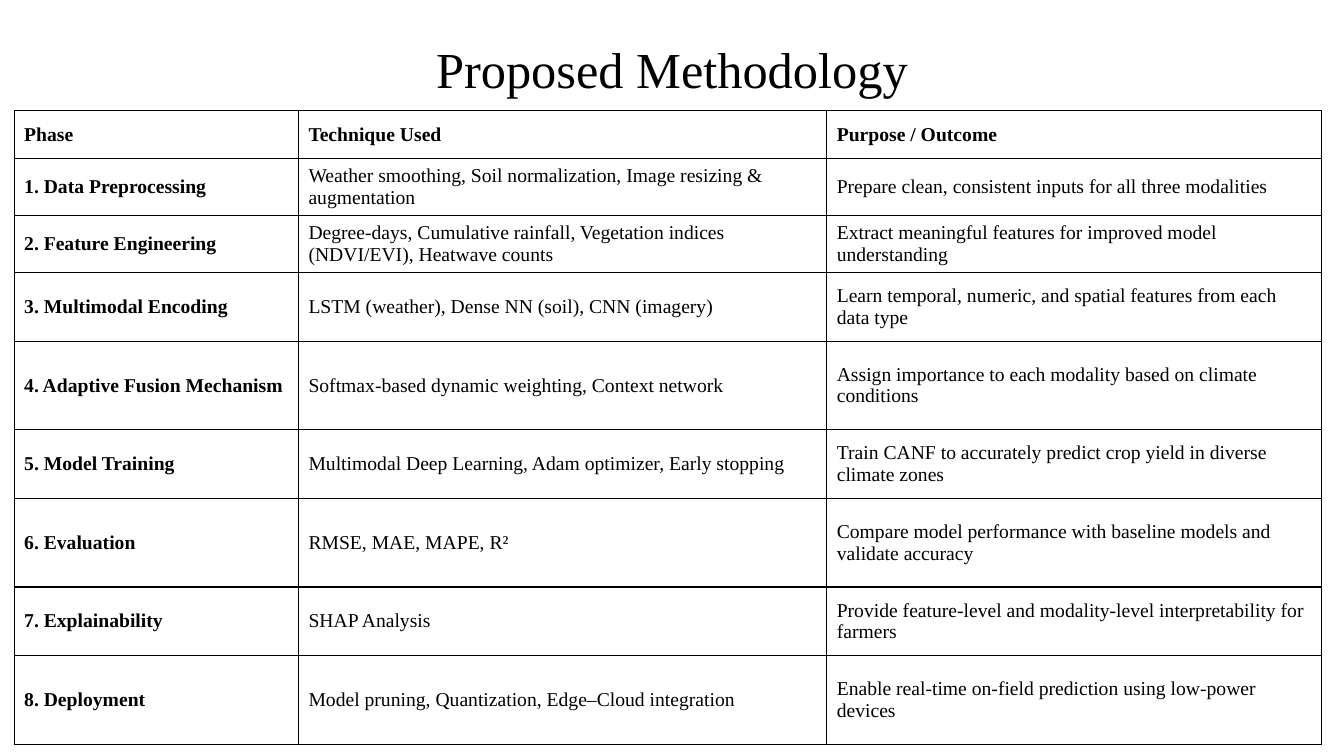
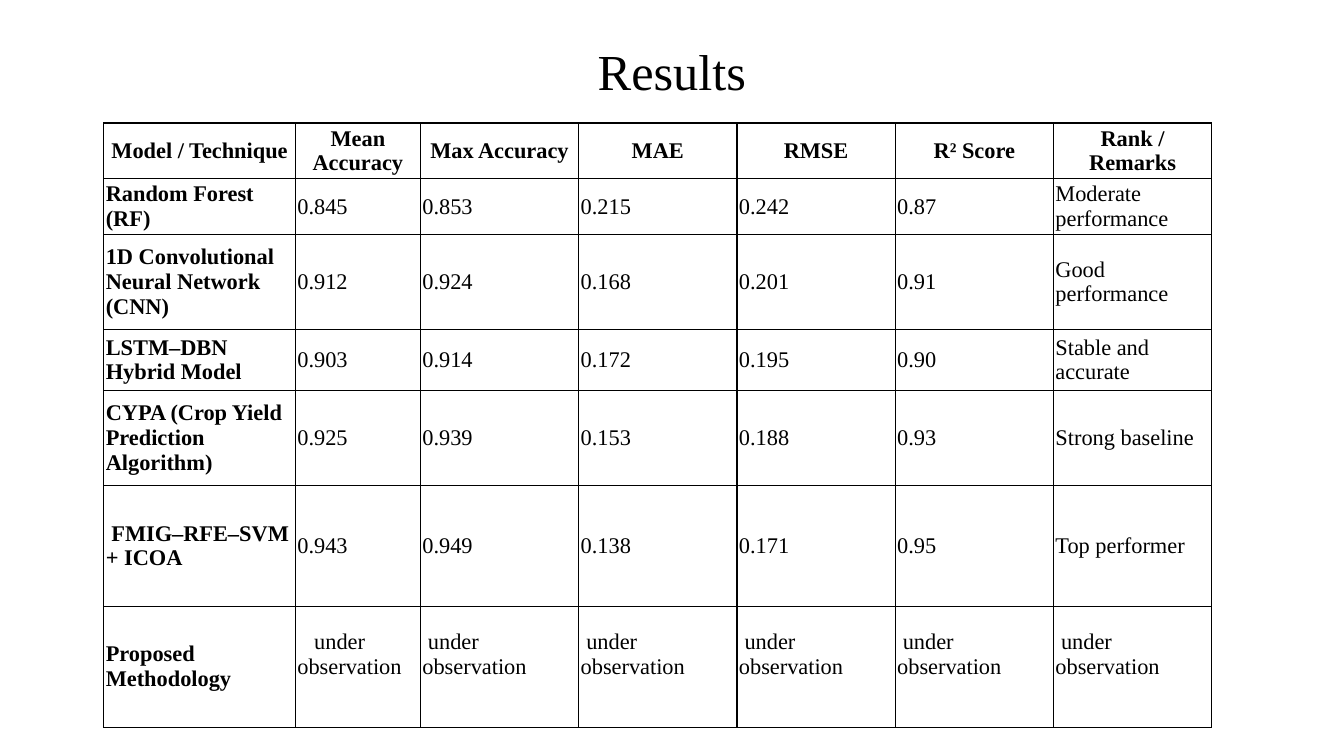
from lxml.etree import SubElement
from pptx import Presentation
from pptx.dml.color import RGBColor
from pptx.enum.text import MSO_ANCHOR, PP_ALIGN
from pptx.oxml.ns import qn
from pptx.util import Inches, Pt

BLACK = RGBColor(0x00, 0x00, 0x00)
WHITE = RGBColor(0xFF, 0xFF, 0xFF)
FONT = "Times New Roman"
WIDE, HIGH = 13.33, 7.5
SPACE = 0.25

HEAD = {"size": Pt(36), "name": FONT, "bold": False}
PAD = {"left": 0.05, "top": 0.02, "right": 0.05, "bottom": 0.02}
STEPS = [
    ("Phase", "Technique Used", "Purpose / Outcome"),
    ("1. Data Preprocessing",
     "Weather smoothing, Soil normalization, Image resizing & augmentation",
     "Prepare clean, consistent inputs for all three modalities"),
    ("2. Feature Engineering",
     "Degree-days, Cumulative rainfall, Vegetation indices (NDVI/EVI), Heatwave counts",
     "Extract meaningful features for improved model understanding"),
    ("3. Multimodal Encoding",
     "LSTM (weather), Dense NN (soil), CNN (imagery)",
     "Learn temporal, numeric, and spatial features from each data type"),
    ("4. Adaptive Fusion Mechanism",
     "Softmax-based dynamic weighting, Context network",
     "Assign importance to each modality based on climate conditions"),
    ("5. Model Training",
     "Multimodal Deep Learning, Adam optimizer, Early stopping",
     "Train CANF to accurately predict crop yield in diverse climate zones"),
    ("6. Evaluation",
     "RMSE, MAE, MAPE, R²",
     "Compare model performance with baseline models and validate accuracy"),
    ("7. Explainability",
     "SHAP Analysis",
     "Provide feature-level and modality-level interpretability for farmers"),
    ("8. Deployment",
     "Model pruning, Quantization, Edge–Cloud integration",
     "Enable real-time on-field prediction using low-power devices"),
]
SCORES = [
    ("Model / Technique", "Mean Accuracy", "Max Accuracy", "MAE", "RMSE",
     "R² Score", "Rank / Remarks"),
    ("Random Forest (RF)", "0.845", "0.853", "0.215", "0.242", "0.87",
     "Moderate performance"),
    ("1D Convolutional Neural Network (CNN)", "0.912", "0.924", "0.168",
     "0.201", "0.91", "Good performance"),
    ("LSTM–DBN Hybrid Model", "0.903", "0.914", "0.172", "0.195", "0.90",
     "Stable and accurate"),
    ("CYPA (Crop Yield Prediction Algorithm)", "0.925", "0.939", "0.153",
     "0.188", "0.93", "Strong baseline"),
    ("FMIG–RFE–SVM + ICOA", "0.943", "0.949", "0.138", "0.171", "0.95",
     "Top performer"),
    ("Proposed Methodology",) + ("under observation",) * 6,
]
PAGES = [
    {"title": "Proposed Methodology", "top": 0.26, "at": (0.14, 1.1),
     "cells": STEPS, "cols": (2.82, 5.24, 4.91),
     "rows": (0.47, 0.54, 0.54) + (0.68, 0.88) * 3,
     "size": 14, "align": PP_ALIGN.LEFT,
     "pad": {"left": 0.1, "top": 0.05, "right": 0.1, "bottom": 0.05},
     "shift": {}, "lift": {}},
    {"title": "Results", "top": 0.28, "at": (1.03, 1.22),
     "cells": SCORES, "cols": (1.9, 1.24) + (1.57,) * 5,
     "rows": (0.51, 0.51, 0.94, 0.61, 0.94, 1.2, 1.2),
     "size": 16, "align": PP_ALIGN.CENTER,
     "pad": {"left": 0.02, "top": 0.01, "right": 0.02, "bottom": 0.01},
     "shift": {(5, 0): 1, (6, 1): 3, **{(6, c): 1 for c in range(2, 7)}},
     "lift": {(6, c): 0.24 for c in range(1, 7)}},
]


def style(part, look):
    for key, val in look.items():
        setattr(part, key, val)


def inset(part, pad):
    style(part, {f"margin_{side}": Inches(gap) for side, gap in pad.items()})


def write(frame, text, look, align):
    line = frame.paragraphs[0]
    line.alignment = align
    run = line.add_run()
    run.text = text
    style(run.font, look)
    run.font.color.rgb = BLACK
    return line


def edge(cell):
    props = cell._tc.get_or_add_tcPr()
    for spot, side in enumerate("LRTB"):
        line = props.makeelement(qn(f"a:ln{side}"), {"w": str(Pt(1))})
        fill = SubElement(line, qn("a:solidFill"))
        SubElement(fill, qn("a:srgbClr"), val=str(BLACK))
        props.insert(spot, line)


def title(slide, text, top):
    wide, high = 6, 0.83
    left = (WIDE - wide) / 2
    box = slide.shapes.add_textbox(*map(Inches, (left, top, wide, high)))
    frame = box.text_frame
    style(frame, {"word_wrap": True, "vertical_anchor": MSO_ANCHOR.MIDDLE})
    inset(frame, PAD)
    write(frame, text, HEAD, PP_ALIGN.CENTER)


def grid(slide, page):
    cols, rows = page["cols"], page["rows"]
    area = (*page["at"], sum(cols), sum(rows))
    table = slide.shapes.add_table(
        len(rows), len(cols), *map(Inches, area)).table
    table.horz_banding = False
    for col, wide in zip(table.columns, cols):
        col.width = Inches(wide)
    for row, high in zip(table.rows, rows):
        row.height = Inches(high)
    for r, texts in enumerate(page["cells"]):
        for c, text in enumerate(texts):
            cell = table.cell(r, c)
            cell.vertical_anchor = MSO_ANCHOR.MIDDLE
            cell.fill.solid()
            cell.fill.fore_color.rgb = WHITE
            pad = dict(page["pad"])
            pad["bottom"] += page["lift"].get((r, c), 0)
            inset(cell, pad)
            edge(cell)
            look = {"size": Pt(page["size"]), "name": FONT,
                    "bold": r == 0 or c == 0}
            align = page["align"] if r == 0 else PP_ALIGN.LEFT
            line = write(cell.text_frame, text, look, align)
            shift = page["shift"].get((r, c), 0)
            if shift:
                dent = Pt(page["size"] * SPACE * shift)
                line._p.get_or_add_pPr().set("indent", str(dent))


def main():
    deck = Presentation()
    style(deck, {"slide_width": Inches(WIDE), "slide_height": Inches(HIGH)})
    for page in PAGES:
        slide = deck.slides.add_slide(deck.slide_layouts[6])
        title(slide, page["title"], page["top"])
        grid(slide, page)
    deck.save("out.pptx")


if __name__ == "__main__":
    main()
